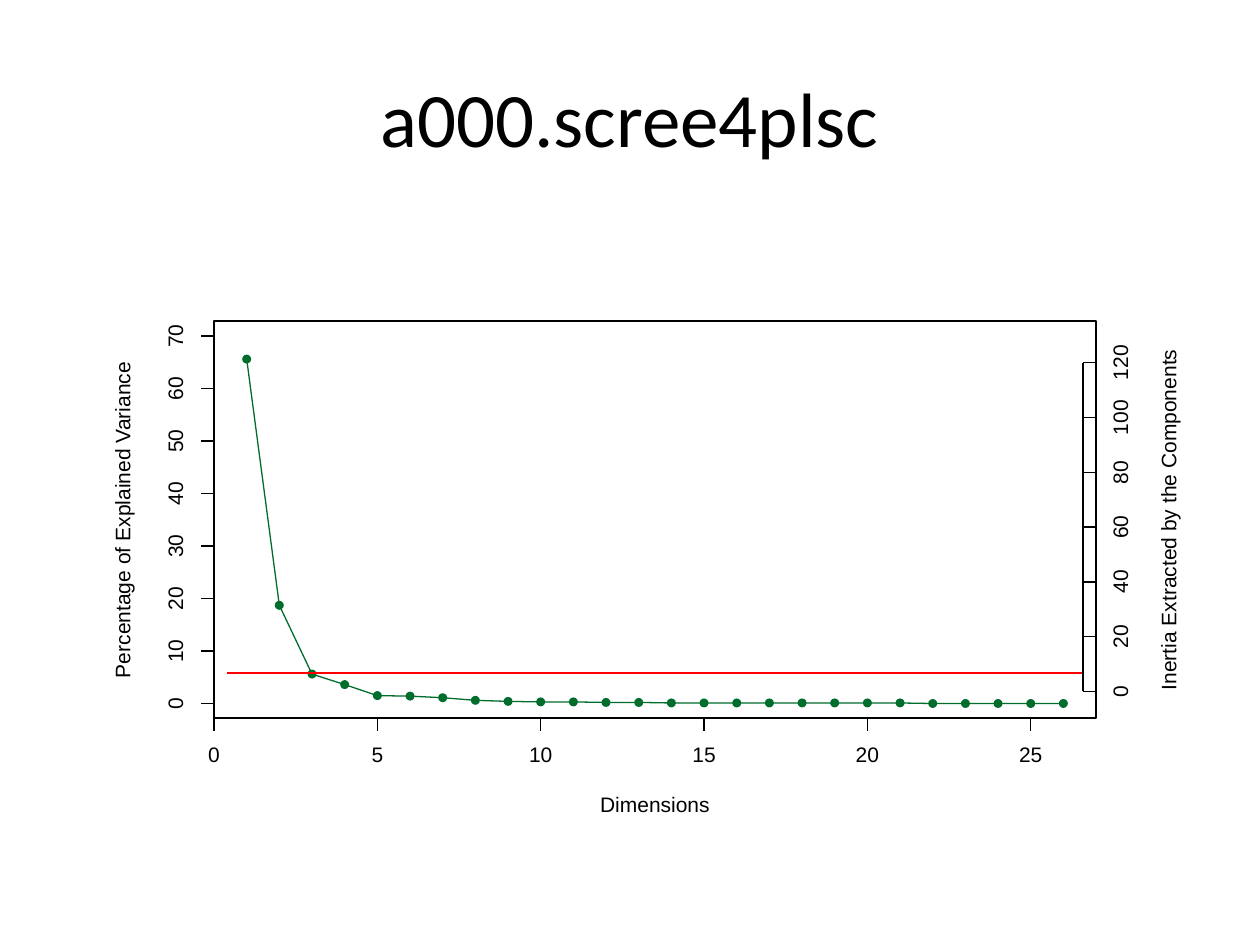
from lxml.etree import SubElement
from pptx import Presentation
from pptx.dml.color import RGBColor
from pptx.enum.shapes import MSO_CONNECTOR as Connector, MSO_SHAPE as Shape
from pptx.enum.text import MSO_ANCHOR as Anchor, PP_ALIGN as Align
from pptx.oxml.ns import qn
from pptx.util import Emu, Pt

COLORS = {"ink": "000000", "paper": "FFFFFF", "curve": "006D2C", "threshold": "FF0000"}
VARIANCE = [65.6, 18.7, 5.6, 3.6, 1.5, 1.4, 1.1, 0.6, 0.4, 0.3, 0.3, 0.2, 0.2,
            0.1, 0.1, 0.1, 0.1, 0.1, 0.1, 0.1, 0.1, 0, 0, 0, 0, 0]
LEFT, TOP, RIGHT, BOTTOM = 214, 321, 1096, 718
TICK = 13


class ScreeSlide:
    """Draws styled elements on one slide, measured in pixels."""

    scale = 914400 / 126
    frame_format = {"margin_left": 0, "margin_right": 0, "margin_top": 0,
                    "margin_bottom": 0, "vertical_anchor": Anchor.MIDDLE}

    def __init__(self, width, height):
        self.deck = Presentation()
        self.deck.slide_width, self.deck.slide_height = self.emu(width, height)
        self.slide = self.deck.slides.add_slide(self.deck.slide_layouts[6])
        self.shapes = self.slide.shapes

    def emu(self, *pixels):
        return [Emu(round(pixel * self.scale)) for pixel in pixels]

    def color(self, name):
        return RGBColor.from_string(COLORS[name])

    def outline(self, line, color, weight):
        line.color.rgb = self.color(color)
        line.width = Pt(weight)

    def shape(self, kind, left, top, width, height, fill=None, line=None):
        shape = self.shapes.add_shape(kind, *self.emu(left, top, width, height))
        shape.shadow.inherit = False
        if fill:
            shape.fill.solid()
            shape.fill.fore_color.rgb = self.color(fill)
        else:
            shape.fill.background()
        if line:
            self.outline(shape.line, line, 0.75)
        else:
            shape.line.fill.background()

    def line(self, x1, y1, x2, y2, color="ink", weight=0.75):
        line = self.shapes.add_connector(Connector.STRAIGHT, *self.emu(x1, y1, x2, y2))
        self.outline(line.line, color, weight)
        SubElement(line._element.spPr, qn("a:effectLst"))

    def curve(self, points, color):
        first, *rest = [self.emu(*point) for point in points]
        builder = self.shapes.build_freeform(*first)
        builder.add_line_segments(rest, close=False)
        curve = builder.convert_to_shape()
        curve.shadow.inherit = False
        curve.fill.background()
        self.outline(curve.line, color, 0.75)

    def text(self, words, x, y, width, height=15, turn=0, size=12, font="Arial",
             wrap=False):
        box = self.shapes.add_textbox(
            *self.emu(x - width / 2, y - height / 2, width, height))
        box.rotation = turn
        frame = box.text_frame
        for key, value in {**self.frame_format, "word_wrap": wrap}.items():
            setattr(frame, key, value)
        paragraph = frame.paragraphs[0]
        paragraph.alignment = Align.CENTER
        paragraph.line_spacing = Pt(12) if size == 12 else 1.0
        run = paragraph.add_run()
        run.text = words
        for key, value in {"size": Pt(size), "name": font}.items():
            setattr(run.font, key, value)
        run.font.color.rgb = self.color("ink")

    def tick_label(self, value, x, y, turn=0):
        self.text(str(value), x, y, 12 * len(str(value)), turn=turn)


def dimension_x(dimension):
    return LEFT + 32.67 * dimension


def variance_y(percent):
    return 703.5 - 5.25 * percent


def inertia_y(inertia):
    return 691.5 - 2.74 * inertia


scree = ScreeSlide(1260, 945)
scree.text("a000.scree4plsc", 630, 117, 1134, 158, size=44, font="Calibri", wrap=True)
scree.shape(Shape.RECTANGLE, 63, 221, 1134, 624, fill="paper", line="paper")

points = [(dimension_x(dimension), variance_y(percent))
          for dimension, percent in enumerate(VARIANCE, start=1)]
scree.curve(points, "curve")

scree.line(LEFT, BOTTOM, dimension_x(25), BOTTOM)
for dimension in range(0, 26, 5):
    x = dimension_x(dimension)
    scree.line(x, BOTTOM, x, BOTTOM + TICK)
    scree.tick_label(dimension, x, 756)

scree.line(LEFT, variance_y(0), LEFT, variance_y(70))
for percent in range(0, 71, 10):
    y = variance_y(percent)
    scree.line(LEFT, y, LEFT - TICK, y)
    scree.tick_label(percent, 177, y, turn=270)

scree.shape(Shape.RECTANGLE, LEFT, TOP, RIGHT - LEFT, BOTTOM - TOP, line="ink")
scree.text("Dimensions", 655, 806, 110)
scree.text("Percentage of Explained Variance", 124, 520, 318, 20, turn=270)

for x, y in points:
    scree.shape(Shape.OVAL, x - 4.5, y - 4.5, 9, 9, fill="curve")

inertia_x = RIGHT - TICK
scree.line(LEFT + TICK, 673, inertia_x, 673, color="threshold", weight=1.5)

scree.text("Inertia Extracted by the Components", 1170, 520, 342, 20, turn=270)
scree.line(inertia_x, inertia_y(0), inertia_x, inertia_y(120))
for inertia in range(0, 121, 20):
    y = inertia_y(inertia)
    scree.line(inertia_x, y, RIGHT, y)
    scree.tick_label(inertia, 1122, y, turn=270)

scree.deck.save("out.pptx")
